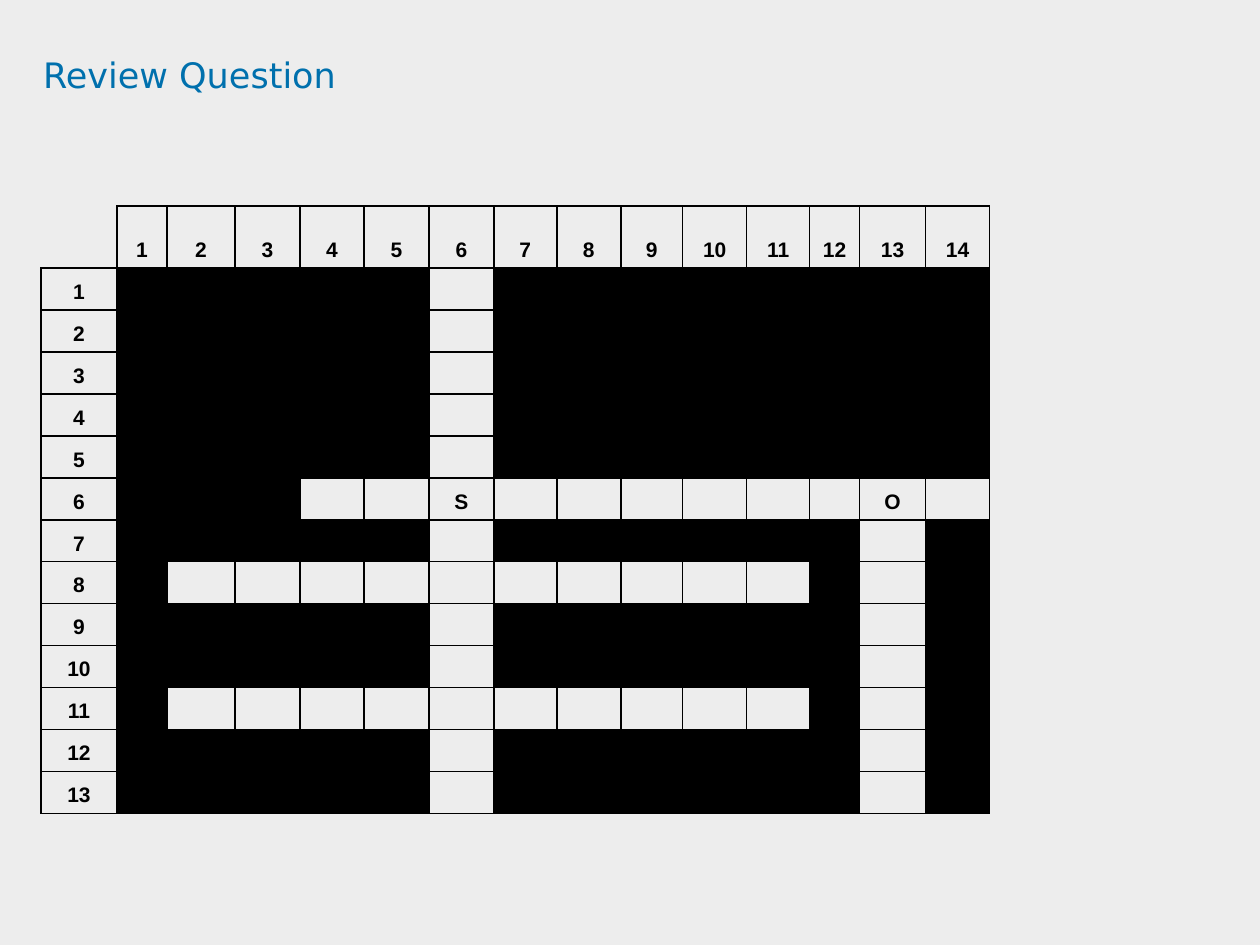
from lxml import etree
from pptx import Presentation
from pptx.dml.color import RGBColor
from pptx.enum import text
from pptx.oxml import ns
from pptx.util import Pt

# Content: "#" blocked, "." open, letters are given answers
TITLE = "Review Question"
CROSSWORD = [
    "#####.########",
    "#####.########",
    "#####.########",
    "#####.########",
    "#####.########",
    "###..S......O.",
    "#####.######.#",
    "#..........#.#",
    "#####.######.#",
    "#####.######.#",
    "#..........#.#",
    "#####.######.#",
    "#####.######.#",
]
COLUMN_WIDTHS = [76, 50, 68, 65, 64, 65, 65, 63, 64, 62, 64, 63, 50, 66, 64]
HEADER_HEIGHT, ROW_HEIGHT = 62, 42

BACKGROUND = RGBColor(0xED, 0xED, 0xED)
BLUE = RGBColor(0x00, 0x70, 0xAD)
BLACK = RGBColor(0, 0, 0)
PX = 914400 // 126
LETTER_SIZE = Pt(12)


def set_borders(cell, visible):
    properties = cell._tc.get_or_add_tcPr()
    for position, side in enumerate("LRTB"):
        line = etree.Element(ns.qn(f"a:ln{side}"), w=str(Pt(1)))
        if side in visible:
            fill = etree.SubElement(line, ns.qn("a:solidFill"))
            etree.SubElement(fill, ns.qn("a:srgbClr"), val=str(BLACK))
        else:
            etree.SubElement(line, ns.qn("a:noFill"))
        properties.insert(position, line)


def fill_cell(cell, label):
    if label == "#":
        cell.fill.solid()
        cell.fill.fore_color.rgb = BLACK
    else:
        cell.fill.background()
    cell.vertical_anchor = text.MSO_ANCHOR.BOTTOM
    paragraph = cell.text_frame.paragraphs[0]
    if label in ("#", ".", ""):
        # Keeps an empty cell from growing past its row
        etree.SubElement(paragraph._p, ns.qn("a:endParaRPr"),
                         sz=str(int(LETTER_SIZE.pt * 100)))
        return
    paragraph.text = label
    paragraph.alignment = text.PP_ALIGN.CENTER
    paragraph.space_before = Pt(2.4)
    font = paragraph.font
    font.name, font.size, font.bold = "Arial", LETTER_SIZE, True
    font.color.rgb = BLACK


prs = Presentation()
prs.slide_width, prs.slide_height = 1260 * PX, 945 * PX
slide = prs.slides.add_slide(prs.slide_layouts[5])
slide.background.fill.solid()
slide.background.fill.fore_color.rgb = BACKGROUND

# Title
title = slide.shapes.title
title.left, title.top, title.width, title.height = (
    n * PX for n in (43, 58, 1145, 118))
frame = title.text_frame
frame.margin_left = frame.margin_right = frame.margin_top = frame.margin_bottom = 0
frame.vertical_anchor = text.MSO_ANCHOR.TOP
frame.text = TITLE
heading = frame.paragraphs[0]
heading.alignment = text.PP_ALIGN.LEFT
heading.line_spacing = 0.9
heading.font.name, heading.font.size = "DejaVu Sans", Pt(20)
heading.font.color.rgb = BLUE

# Crossword with numbered columns and rows
column_numbers = [str(n) for n in range(1, len(CROSSWORD[0]) + 1)]
grid = [["", *column_numbers]]
grid += [[str(n), *row] for n, row in enumerate(CROSSWORD, 1)]
heights = [HEADER_HEIGHT] + [ROW_HEIGHT] * len(CROSSWORD)
crossword = slide.shapes.add_table(
    len(grid), len(grid[0]), 41 * PX, 206 * PX,
    sum(COLUMN_WIDTHS) * PX, sum(heights) * PX).table
crossword.first_row = crossword.horz_banding = False
for column, width in zip(crossword.columns, COLUMN_WIDTHS):
    column.width = width * PX
for row, height, labels in zip(crossword.rows, heights, grid):
    row.height = height * PX
    for cell, label in zip(row.cells, labels):
        fill_cell(cell, label)
        set_borders(cell, "LRTB" if label else "RB")

prs.save("out.pptx")
